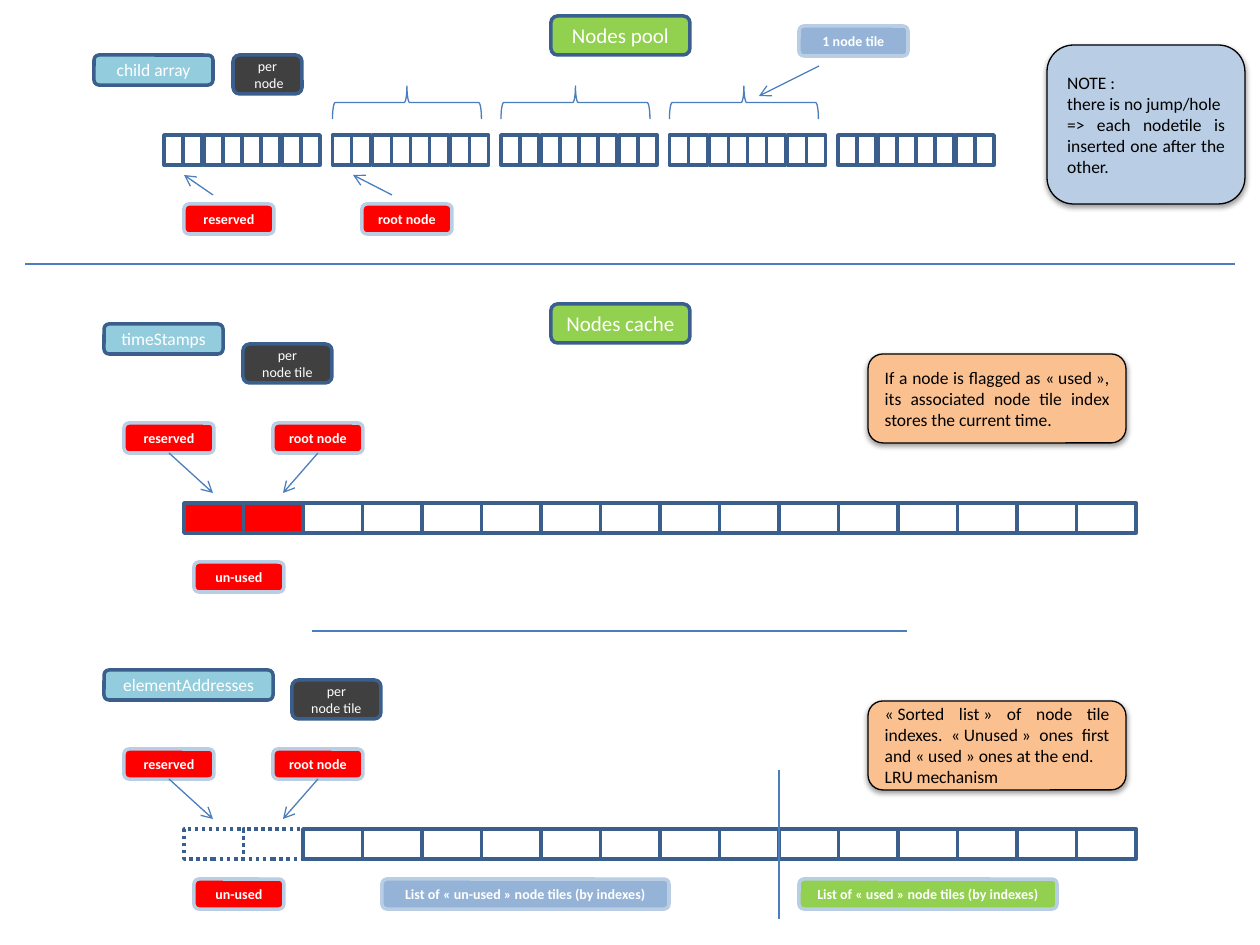
from lxml import etree
from pptx import Presentation
from pptx import util as u
from pptx.dml.color import RGBColor
from pptx.enum import dml, shapes, text
from pptx.oxml import parse_xml
from pptx.oxml.ns import nsdecls, qn

PX = 914400 / 126
NAVY, BLUE, PALE, STEEL = "3A5F8C", "4B7EBC", "B9CDE5", "95B3D7"
TEAL, GREEN, DARK, RED, ORANGE = "93CDDD", "92D050", "404040", "FF0000", "FAC090"
WHITE, BLACK = "FFFFFF", "000000"
FONT = "Calibri"


def px(value):
    return u.Emu(round(value * PX))


def rgb(value):
    return RGBColor.from_string(value)


def add_box(slide, kind, box, fill, line, width=2.0):
    sp = slide.shapes.add_shape(kind, *[px(v) for v in box])
    sp.shadow.inherit = False
    if fill:
        sp.fill.solid()
        sp.fill.fore_color.rgb = rgb(fill)
    else:
        sp.fill.background()
    sp.line.color.rgb = rgb(line)
    sp.line.width = u.Pt(width)
    return sp


def set_text(sp, words, size, color, bold=False, align=text.PP_ALIGN.CENTER):
    tf = sp.text_frame
    tf.word_wrap = True
    tf.vertical_anchor = text.MSO_ANCHOR.MIDDLE
    tf.text = words
    for p in tf.paragraphs:
        p.alignment = align
        for r in p.runs:
            r.font.name = FONT
            r.font.size = u.Pt(size)
            r.font.bold = bold
            r.font.color.rgb = rgb(color)


def add_label(slide, words, box, fill, size, line=NAVY, bold=False):
    sp = add_box(slide, shapes.MSO_SHAPE.ROUNDED_RECTANGLE, box, fill, line)
    set_text(sp, words, size, WHITE, bold)


def add_tag(slide, words, x, y, width=90, fill=RED):
    add_label(slide, words, (x, y, width, 30), fill, 8, PALE, True)


def add_note(slide, words, box, fill):
    sp = add_box(slide, shapes.MSO_SHAPE.ROUNDED_RECTANGLE, box, fill, BLACK, 0.75)
    set_text(sp, words, 10, BLACK, align=text.PP_ALIGN.JUSTIFY)
    effects = sp._element.spPr.find(qn("a:effectLst"))
    effects.append(parse_xml(
        f'<a:outerShdw {nsdecls("a")} blurRad="{u.Pt(3.1)}" dist="{u.Pt(1.6)}" '
        'dir="5400000" rotWithShape="0"><a:srgbClr val="000000">'
        '<a:alpha val="38000"/></a:srgbClr></a:outerShdw>'))


def add_line(slide, x1, y1, x2, y2, arrow=False):
    cn = slide.shapes.add_connector(
        shapes.MSO_CONNECTOR.STRAIGHT, px(x1), px(y1), px(x2), px(y2))
    cn.line.color.rgb = rgb(BLUE)
    cn.line.width = u.Pt(0.75)
    if arrow:
        etree.SubElement(cn.line._get_or_add_ln(), qn("a:tailEnd"), type="arrow")
    etree.SubElement(cn._element.spPr, qn("a:effectLst"))


def add_cell(slide, x, y, width, fill=None):
    return add_box(slide, shapes.MSO_SHAPE.RECTANGLE, (x, y, width, 30), fill, NAVY)


def add_tile_bar(slide, y, fill=None, dotted=False):
    """Sixteen node tiles; the first two are special."""
    for i in range(16):
        special = i < 2
        cell = add_cell(slide, 184 + 59.5 * i, y, 59.5, fill if special else None)
        if special and dotted:
            cell.line.dash_style = dml.MSO_LINE.ROUND_DOT

    # Tags pointing at the two special tiles
    add_tag(slide, "root node", 273, y - 80)
    add_line(slide, 318, y - 50, 283, y - 10, True)
    add_tag(slide, "reserved", 124, y - 80)
    add_line(slide, 169, y - 50, 213, y - 10, True)


def add_nodes_pool(slide):
    add_label(slide, "Nodes pool", (551, 16, 139, 39), GREEN, 12)
    add_label(slide, "child array", (94, 55, 119, 30), TEAL, 10)
    add_label(slide, "per\n node", (233, 55, 69, 39), DARK, 8)

    # Five tiles of eight nodes, grouped 2 + 4 + 2
    pitch = 168.5
    for tile in range(5):
        for node in range(8):
            gap = 2 * ((node >= 2) + (node >= 6))
            add_cell(slide, 164 + pitch * tile + 19 * node + gap, 135, 19)

    # Braces over the middle tiles
    for i in range(3):
        brace = add_box(slide, shapes.MSO_SHAPE.RIGHT_BRACE,
                        (390.5 + pitch * i, 28, 33, 149), None, BLUE, 0.75)
        brace.rotation = 270

    add_tag(slide, "reserved", 184, 204)
    add_line(slide, 213, 195, 184, 175, True)
    add_tag(slide, "root node", 362, 204)
    add_line(slide, 392, 195, 353, 175, True)
    add_tag(slide, "1 node tile", 799, 26, 109, STEEL)
    add_line(slide, 819, 66, 759, 96, True)
    add_note(slide, "NOTE : \nthere is no jump/hole \n"
             "=> each nodetile is inserted one after the other.",
             (1047, 45, 198, 159), PALE)


def add_time_stamps(slide):
    add_label(slide, "Nodes cache", (551, 304, 139, 39), GREEN, 12)
    add_label(slide, "timeStamps", (104, 324, 119, 30), TEAL, 10)
    add_label(slide, "per\nnode tile", (243, 344, 89, 39), DARK, 8)
    add_tile_bar(slide, 503, fill=RED)
    add_tag(slide, "un-used", 194, 562)
    add_note(slide, "If a node is flagged as «\u00a0used\u00a0», its associated "
             "node tile index stores the current time.",
             (868, 354, 258, 89), ORANGE)


def add_element_addresses(slide):
    add_label(slide, "elementAddresses", (104, 670, 169, 30), TEAL, 10)
    add_label(slide, "per\nnode tile", (292, 680, 89, 39), DARK, 8)
    add_tile_bar(slide, 829, dotted=True)
    add_note(slide, "«\u00a0Sorted list\u00a0» of node tile indexes. "
             "«\u00a0Unused\u00a0» ones first and «\u00a0used\u00a0» ones at the end.\n"
             "LRU mechanism", (868, 701, 258, 89), ORANGE)

    # Split between unused and used tiles
    add_line(slide, 779, 770, 779, 919)
    add_tag(slide, "un-used", 194, 879)
    add_tag(slide, "List of «\u00a0un-used\u00a0» node tiles (by indexes)",
            382, 879, 287, STEEL)
    add_tag(slide, "List of «\u00a0used\u00a0» node tiles (by indexes)",
            799, 879, 258, GREEN)


def main():
    prs = Presentation()
    prs.slide_width, prs.slide_height = u.Inches(10), u.Inches(7.5)
    slide = prs.slides.add_slide(prs.slide_layouts[6])
    add_nodes_pool(slide)
    add_time_stamps(slide)
    add_element_addresses(slide)

    # Section dividers
    add_line(slide, 25, 264, 1235, 264)
    add_line(slide, 312, 631, 907, 631)
    prs.save("out.pptx")


main()
